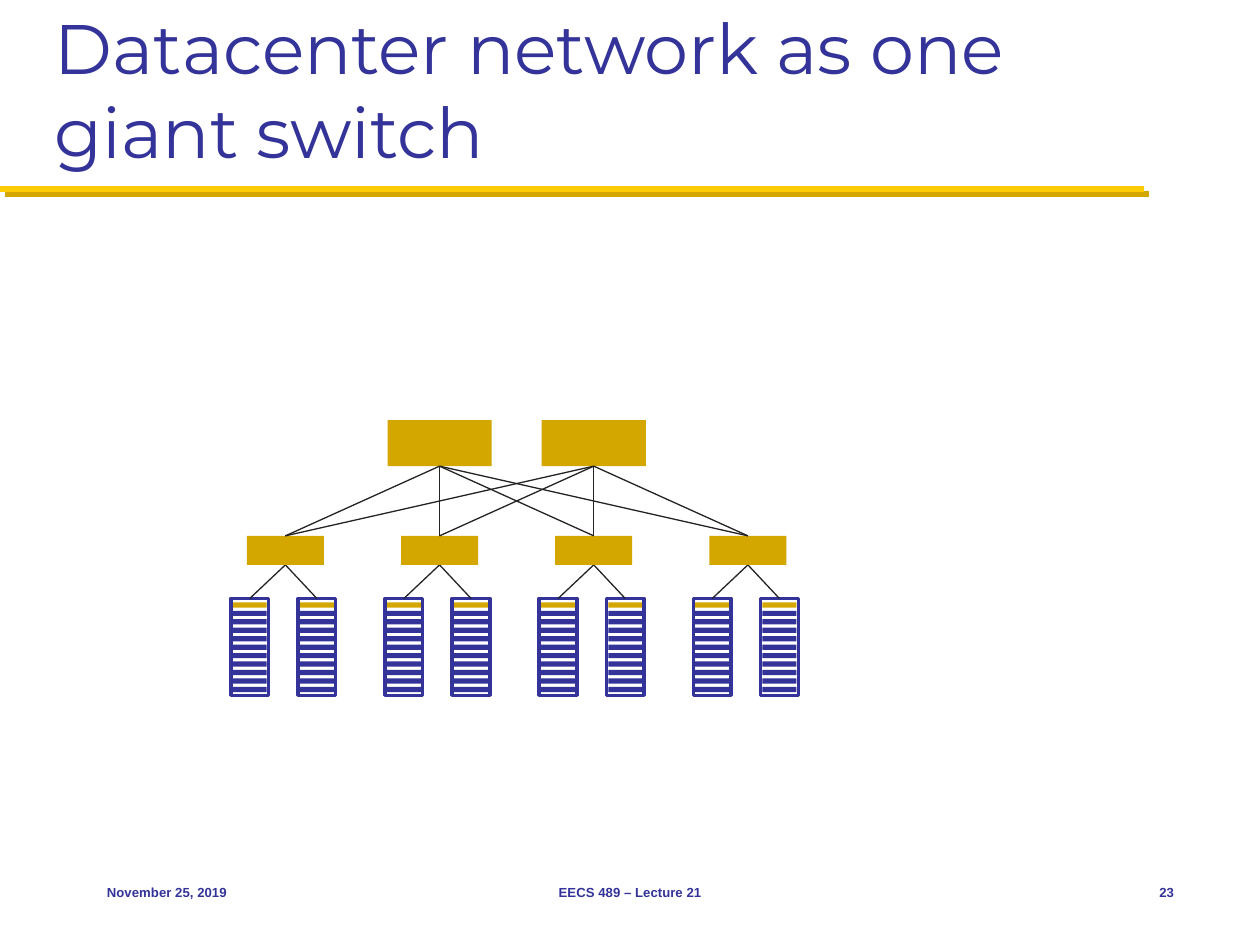
from lxml.etree import SubElement
from pptx import Presentation
from pptx.dml.color import RGBColor
from pptx.enum.shapes import MSO_CONNECTOR, MSO_SHAPE
from pptx.enum.text import MSO_ANCHOR, MSO_AUTO_SIZE, PP_ALIGN
from pptx.oxml.ns import qn
from pptx.util import Pt

TITLE = "Datacenter network as one giant switch"
FOOTERS = [  # text, left, width, alignment
    ("November 25, 2019", 54, 150, PP_ALIGN.LEFT),
    ("EECS 489 – Lecture 21", 246, 228, PP_ALIGN.CENTER),
    ("23", 630, 48, PP_ALIGN.RIGHT),
]
COLORS = {"blue": "333399", "gold": "D3A600", "yellow": "FFCB05", "link": "232323"}

POD_COUNT, POD_LEFT, POD_PITCH = 4, 131.9, 88.1
RACKS_PER_POD, RACK_PITCH = 2, 38.4
RACK_TOP, RACK_WIDTH, RACK_HEIGHT = 342, 21.6, 55.4
SLAT_COUNT, SLAT_TOP, SLAT_PITCH = 11, 344.2, 4.83
SLAT_INSET, SLAT_HEIGHT = 1.1, 3
EDGE_TOP, EDGE_WIDTH, EDGE_HEIGHT = 306.2, 44, 16.6
CORE_TOP, CORE_WIDTH, CORE_HEIGHT = 240, 59.5, 26.4
CORE_PODS = (1, 2)  # pods that the core switches stand above


def color(name):
    """Return the named colour."""
    return RGBColor.from_string(COLORS[name])


def add_box(shapes, left, top, width, height, fill=None, line=None):
    """Add a rectangle with a fill, an outline or both."""
    box = shapes.add_shape(MSO_SHAPE.RECTANGLE, Pt(left), Pt(top), Pt(width), Pt(height))
    box.shadow.inherit = False
    if fill:
        box.fill.solid()
        box.fill.fore_color.rgb = color(fill)
    else:
        box.fill.background()
    if line:
        box.line.color.rgb = color(line)
        box.line.width = Pt(2)
    else:
        box.line.fill.background()
    return box


def add_line(shapes, start, end, name="link", width=0.75):
    """Add a straight line and return its effect list."""
    points = [Pt(value) for value in (*start, *end)]
    line = shapes.add_connector(MSO_CONNECTOR.STRAIGHT, *points)
    line.line.color.rgb = color(name)
    line.line.width = Pt(width)
    return SubElement(line._element.spPr, qn("a:effectLst"))


def format_text(shape, text, font_name, size, alignment, anchor):
    """Set the text of a shape and format it."""
    frame = shape.text_frame
    frame.text = text
    frame.auto_size = MSO_AUTO_SIZE.NONE
    frame.vertical_anchor = anchor
    paragraph = frame.paragraphs[0]
    paragraph.alignment = alignment
    font = paragraph.runs[0].font
    font.name, font.size = font_name, Pt(size)
    font.color.rgb = color("blue")
    return font


def add_rack(shapes, left):
    """Add a rack: a gold switch on top of blue servers, in a frame."""
    for index in range(SLAT_COUNT):
        add_box(shapes, left + SLAT_INSET, SLAT_TOP + index * SLAT_PITCH,
                RACK_WIDTH - 2 * SLAT_INSET, SLAT_HEIGHT, "blue" if index else "gold")
    add_box(shapes, left, RACK_TOP, RACK_WIDTH, RACK_HEIGHT, line="blue")


def add_pod(shapes, left, center):
    """Add the racks of a pod, its edge switch and their links."""
    for index in range(RACKS_PER_POD):
        rack_left = left + index * RACK_PITCH
        add_rack(shapes, rack_left)
        add_line(shapes, (rack_left + RACK_WIDTH / 2, RACK_TOP),
                 (center, EDGE_TOP + EDGE_HEIGHT))
    add_box(shapes, center - EDGE_WIDTH / 2, EDGE_TOP, EDGE_WIDTH, EDGE_HEIGHT, "gold")


presentation = Presentation()
presentation.slide_width, presentation.slide_height = Pt(720), Pt(540)
slide = presentation.slides.add_slide(presentation.slide_layouts[5])

rule_effects = add_line(slide.shapes, (0, 108), (653.8, 108), "yellow", 3.5)
shadow = SubElement(rule_effects, qn("a:outerShdw"), dist=str(Pt(4.2)),
                    dir="2700000", algn="ctr", rotWithShape="0")
SubElement(shadow, qn("a:srgbClr"), val=COLORS["gold"])

title = slide.shapes.title
title.left, title.top, title.width, title.height = Pt(24), Pt(12), Pt(672), Pt(90)
format_text(title, TITLE, "Montserrat", 40, PP_ALIGN.LEFT, MSO_ANCHOR.BOTTOM)

for text, left, width, alignment in FOOTERS:
    footer = slide.shapes.add_textbox(Pt(left), Pt(492), Pt(width), Pt(36))
    footer.text_frame.word_wrap = True
    format_text(footer, text, "Arial", 7.5, alignment, MSO_ANCHOR.MIDDLE).bold = True

network = slide.shapes.add_group_shape().shapes
pod_lefts = [POD_LEFT + index * POD_PITCH for index in range(POD_COUNT)]
pod_centers = [left + (RACK_PITCH + RACK_WIDTH) / 2 + 1.2 for left in pod_lefts]
for left, center in zip(pod_lefts, pod_centers):
    add_pod(network.add_group_shape().shapes, left, center)

for core_center in (pod_centers[index] for index in CORE_PODS):
    add_box(network, core_center - CORE_WIDTH / 2, CORE_TOP, CORE_WIDTH, CORE_HEIGHT, "gold")
    for center in pod_centers:
        add_line(network, (center, EDGE_TOP), (core_center, CORE_TOP + CORE_HEIGHT))

presentation.save("out.pptx")
